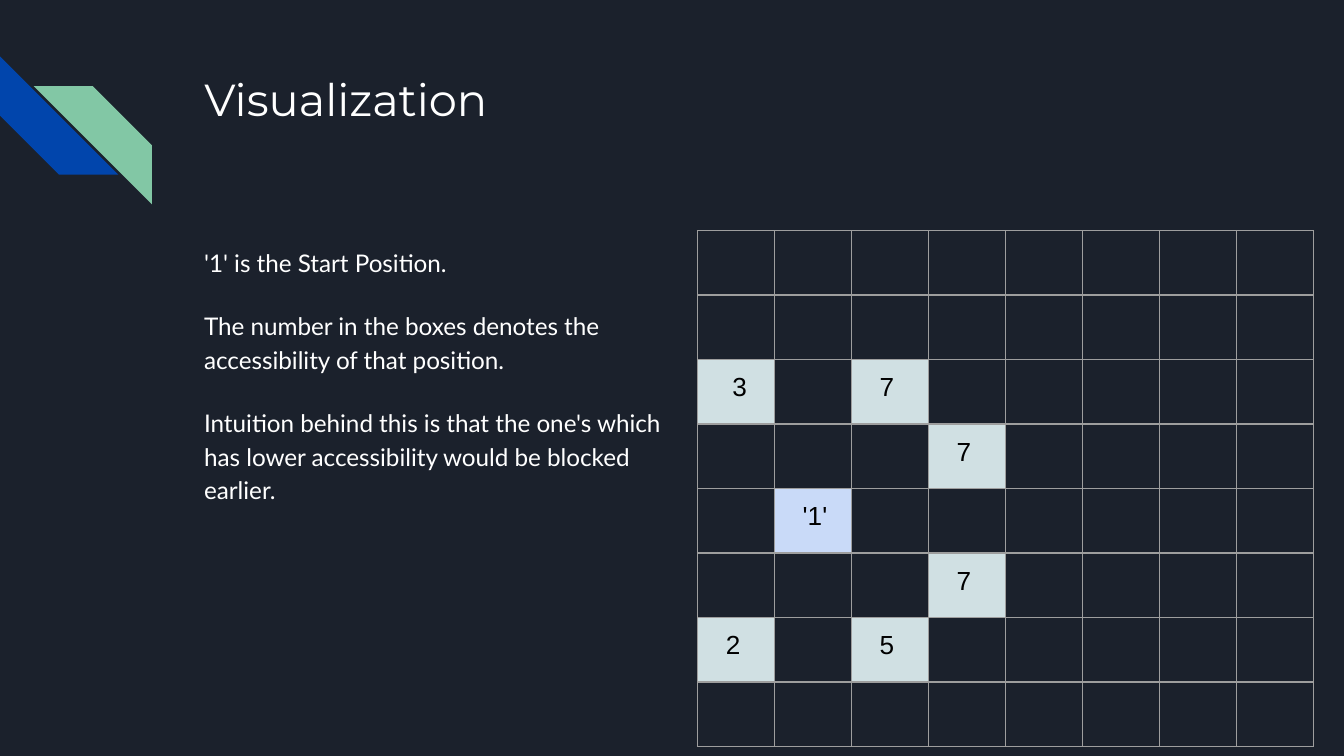
from dataclasses import dataclass

from lxml import etree
from pptx import Presentation, util as u
from pptx.dml.color import RGBColor
from pptx.enum import shapes, text
from pptx.oxml import ns


@dataclass(frozen=True)
class Theme:
    back: str = "1B212C"
    ink: str = "FFFFFF"
    dark: str = "000000"
    blue: str = "0145AC"
    green: str = "82C7A5"
    move: str = "D0E0E3"
    start: str = "C9DAF8"
    rule: str = "9E9E9E"
    head: tuple = ("Montserrat", 24)
    body: tuple = ("Lato", 13)
    cell: tuple = ("Arial", 14)


THEME = Theme()
WIDE = 10
HIGH = WIDE * 9 / 16
LEFT = 0.142 * WIDE
TOP = 0.305 * HIGH
SIDE = 8
COL, ROW = 0.573, 0.48
PAD = 0.1
STRIPE = 0.88

NOTES = [
    "'1' is the Start Position.",
    "The number in the boxes denotes the accessibility of that position.",
    "Intuition behind this is that the one's which has lower accessibility "
    "would be blocked earlier.",
]
# (row, column): (label, fill, left inset)
MARKS = {
    (2, 0): ("3", THEME.move, 0.26),
    (2, 2): ("7", THEME.move, 0.21),
    (3, 3): ("7", THEME.move, 0.21),
    (4, 1): ("'1'", THEME.start, 0.21),
    (5, 3): ("7", THEME.move, 0.21),
    (6, 0): ("2", THEME.move, 0.21),
    (6, 2): ("5", THEME.move, 0.21),
}


def apply(item, **vals):
    for name, val in vals.items():
        setattr(item, name, val)


def paint(fill, color):
    fill.solid()
    fill.fore_color.rgb = RGBColor.from_string(color)


def place(shape, *box):
    names = ("left", "top", "width", "height")
    apply(shape, **dict(zip(names, map(u.Inches, box))))


def inset(item, left=PAD):
    """Set the margins of a text frame or a table cell."""
    apply(item, margin_left=u.Inches(left), margin_right=u.Inches(PAD),
          margin_top=u.Inches(PAD), margin_bottom=u.Inches(PAD))


def write(par, words, style, color, **form):
    run = par.add_run()
    run.text = words
    face, size = style
    apply(run.font, name=face, size=u.Pt(size))
    run.font.color.rgb = RGBColor.from_string(color)
    apply(par, alignment=text.PP_ALIGN.LEFT, **form)


def setup(frame):
    apply(frame, word_wrap=True, auto_size=text.MSO_AUTO_SIZE.NONE,
          vertical_anchor=text.MSO_ANCHOR.TOP)
    inset(frame)


def add_stripe(slide, left, top, turn, color):
    box = map(u.Inches, (left, top, STRIPE, STRIPE))
    shape = slide.shapes.add_shape(
        shapes.MSO_SHAPE.DIAGONAL_STRIPE, *box)
    apply(shape, rotation=turn)
    shape.shadow.inherit = False
    paint(shape.fill, color)
    shape.line.fill.background()


def add_title(slide, words):
    title = slide.shapes.title
    place(title, LEFT, 0.43, 0.77 * WIDE, 1)
    setup(title.text_frame)
    write(title.text_frame.paragraphs[0], words, THEME.head, THEME.ink)


def add_notes(slide):
    box = slide.shapes.add_textbox(0, 0, 0, 0)
    place(box, LEFT, TOP, 3.72, 3.42)
    frame = box.text_frame
    setup(frame)
    for num, words in enumerate(NOTES):
        par = frame.add_paragraph() if num else frame.paragraphs[0]
        write(par, words, THEME.body, THEME.ink, line_spacing=1.15,
              space_before=u.Pt(16 if num else 0))


def border(cell):
    props = cell._tc.get_or_add_tcPr()
    for edge in "LRTB":
        line = etree.SubElement(props, ns.qn(f"a:ln{edge}"),
                                w=str(u.Pt(0.75)))
        fill = etree.SubElement(line, ns.qn("a:solidFill"))
        etree.SubElement(fill, ns.qn("a:srgbClr"), val=THEME.rule)


def add_board(slide):
    box = map(u.Inches, (5.19, TOP, SIDE * COL, SIDE * ROW))
    board = slide.shapes.add_table(SIDE, SIDE, *box).table
    apply(board, first_row=False, horz_banding=False)
    for col in board.columns:
        col.width = u.Inches(COL)
    for r, row in enumerate(board.rows):
        row.height = u.Inches(ROW)
        for c, cell in enumerate(row.cells):
            border(cell)
            if (r, c) not in MARKS:
                cell.fill.background()
                continue
            label, color, left = MARKS[r, c]
            inset(cell, left)
            paint(cell.fill, color)
            write(cell.text_frame.paragraphs[0], label,
                  THEME.cell, THEME.dark)


def main():
    deck = Presentation()
    apply(deck, slide_width=u.Inches(WIDE), slide_height=u.Inches(HIGH))
    slide = deck.slides.add_slide(deck.slide_layouts[5])
    paint(slide.background.fill, THEME.back)
    add_stripe(slide, 0, 0.42, 270, THEME.blue)
    add_stripe(slide, 0.25, 0.64, 90, THEME.green)
    add_title(slide, "Visualization")
    add_notes(slide)
    add_board(slide)
    deck.save("out.pptx")


if __name__ == "__main__":
    main()
